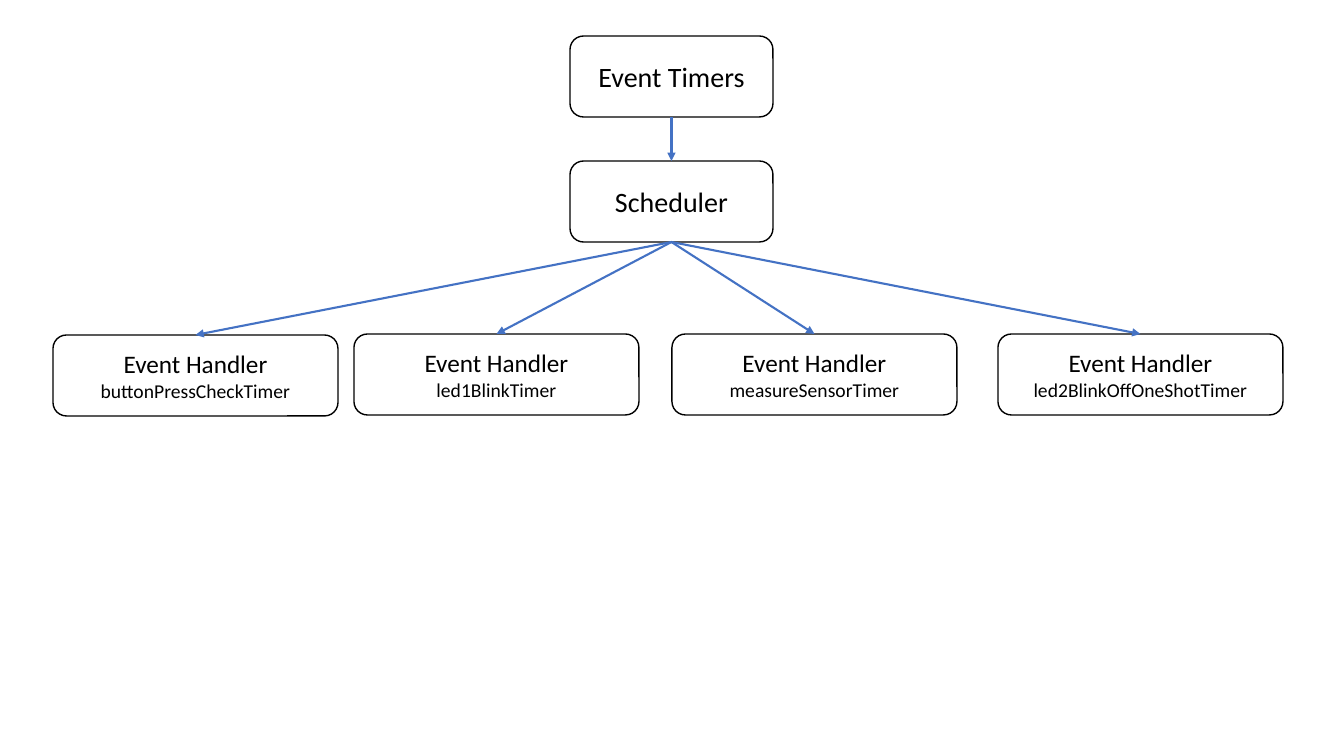
from lxml.etree import SubElement
from pptx import Presentation
from pptx.dml.color import RGBColor
from pptx.enum.shapes import MSO_CONNECTOR, MSO_SHAPE
from pptx.enum.text import MSO_ANCHOR, PP_ALIGN
from pptx.oxml.ns import qn
from pptx.util import Emu, Pt

EMU_PER_PIXEL = 914400 / 100.8
COLORS = {"ink": "000000", "arrow": "4472C4"}
FONT = "Calibri"
BOX_HEIGHT = 81
STAGE_LEFT, STAGE_WIDTH = 570, 203
HANDLER_WIDTH = 285
TOP_SITE, BOTTOM_SITE = 0, 2
HANDLERS = [
    ("buttonPressCheckTimer", 53, 335),
    ("led1BlinkTimer", 354, 334),
    ("measureSensorTimer", 672, 334),
    ("led2BlinkOffOneShotTimer", 998, 334),
]


def px(length):
    """Turn whole pixels into EMU."""
    return Emu(round(length * EMU_PER_PIXEL))


def color(name):
    """Look up a named colour."""
    return RGBColor.from_string(COLORS[name])


def add_box(page, left, top, width, lines):
    """Add an outlined rounded box with centred (text, size) lines."""
    box = page.shapes.add_shape(
        MSO_SHAPE.ROUNDED_RECTANGLE, px(left), px(top), px(width), px(BOX_HEIGHT)
    )
    box.shadow.inherit = False
    box.fill.background()
    box.line.color.rgb = color("ink")
    box.line.width = Pt(1)
    frame = box.text_frame
    frame.word_wrap = True
    frame.vertical_anchor = MSO_ANCHOR.MIDDLE
    frame.text = "\n".join(text for text, size in lines)
    for para, (text, size) in zip(frame.paragraphs, lines):
        para.alignment = PP_ALIGN.CENTER
        for span in para.runs:
            span.font.name = FONT
            span.font.size = Pt(size)
            span.font.color.rgb = color("ink")
    return box


def add_arrow(page, source, target):
    """Join the bottom of one box to the top of another with an arrow."""
    arrow = page.shapes.add_connector(MSO_CONNECTOR.STRAIGHT, 0, 0, 0, 0)
    arrow.begin_connect(source, BOTTOM_SITE)
    arrow.end_connect(target, TOP_SITE)
    arrow.line.color.rgb = color("arrow")
    arrow.line.width = Pt(1.5)
    SubElement(arrow.line._get_or_add_ln(), qn("a:tailEnd"), type="triangle")
    SubElement(arrow._element.spPr, qn("a:effectLst"))


def main():
    """Build the event scheduling diagram."""
    deck = Presentation()
    deck.slide_width, deck.slide_height = px(1344), px(756)
    page = deck.slides.add_slide(deck.slide_layouts[6])

    timers = add_box(page, STAGE_LEFT, 36, STAGE_WIDTH, [("Event Timers", 20)])
    scheduler = add_box(page, STAGE_LEFT, 161, STAGE_WIDTH, [("Scheduler", 20)])
    handlers = [
        add_box(page, left, top, HANDLER_WIDTH, [("Event Handler", 18), (timer, 14)])
        for timer, left, top in HANDLERS
    ]

    add_arrow(page, timers, scheduler)
    for handler in handlers:
        add_arrow(page, scheduler, handler)

    deck.save("out.pptx")


main()
